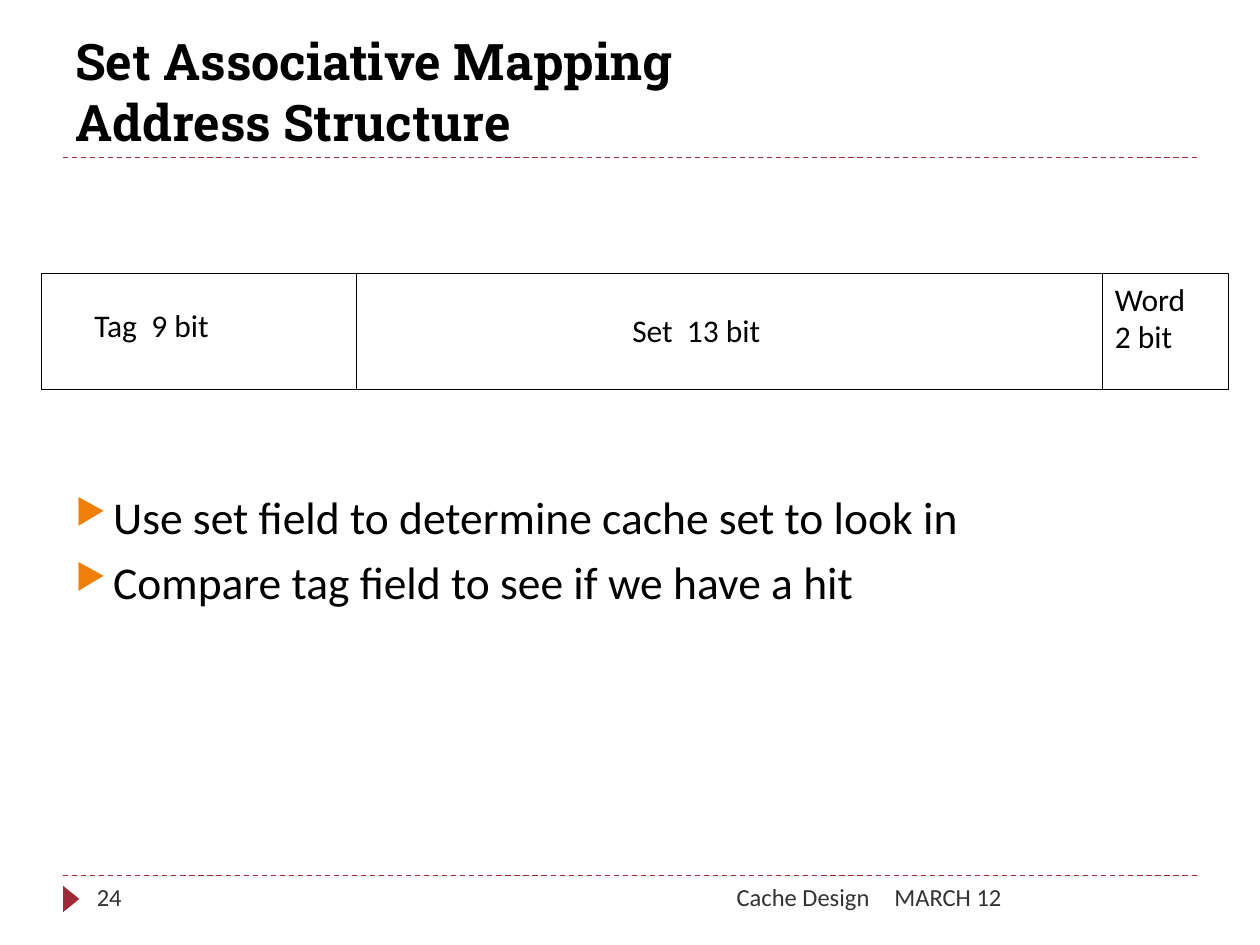
from dataclasses import dataclass

from lxml import etree
from pptx import Presentation
from pptx.dml.color import RGBColor
from pptx.enum.dml import MSO_LINE
from pptx.enum.shapes import MSO_CONNECTOR, MSO_SHAPE
from pptx.enum.text import MSO_ANCHOR, PP_ALIGN
from pptx.oxml.ns import qn
from pptx.util import Inches, Pt

STRAIGHT = MSO_CONNECTOR.STRAIGHT
RECTANGLE = MSO_SHAPE.RECTANGLE
TRIANGLE = MSO_SHAPE.ISOSCELES_TRIANGLE
DASH = MSO_LINE.DASH
TOP, BOTTOM = MSO_ANCHOR.TOP, MSO_ANCHOR.BOTTOM
LEFT, RIGHT = PP_ALIGN.LEFT, PP_ALIGN.RIGHT


@dataclass(frozen=True)
class Theme:
    ink: str = "000000"
    muted: str = "323232"
    accent: str = "9F2936"
    bullet: str = "F07F09"
    heading_font: str = "Roboto Slab"
    body_font: str = "Calibri"
    title_size: float = 28.8
    body_size: float = 26
    label_size: float = 18
    footer_size: float = 14
    line_width: float = 0.75


THEME = Theme()
WIDTH, HEIGHT = 10, 7.5
MARGIN = 0.5


def add_line(slide, start, end, color, dash=None):
    line = slide.shapes.add_connector(STRAIGHT, *map(Inches, (*start, *end)))
    line.line.color.rgb = RGBColor.from_string(color)
    line.line.width = Pt(THEME.line_width)
    if dash is not None:
        line.line.dash_style = dash
    etree.SubElement(line._element.spPr, qn("a:effectLst"))


def add_text(slide, box, lines, size, color=THEME.ink, font=THEME.body_font,
             bold=False, align=LEFT, anchor=TOP, wrap=True):
    frame = slide.shapes.add_textbox(*map(Inches, box)).text_frame
    frame.word_wrap = wrap
    frame.vertical_anchor = anchor
    font_format = {"name": font, "size": Pt(size), "bold": bold}
    for index, line in enumerate(lines):
        paragraph = frame.add_paragraph() if index else frame.paragraphs[0]
        paragraph.text = line
        paragraph.alignment = align
        for run in paragraph.runs:
            for name, value in font_format.items():
                setattr(run.font, name, value)
            run.font.color.rgb = RGBColor.from_string(color)
    return frame


def add_bullet(paragraph, indent):
    properties = paragraph._p.get_or_add_pPr()
    properties.set("marL", str(Inches(indent)))
    properties.set("indent", str(-Inches(indent)))
    color = etree.SubElement(properties, qn("a:buClr"))
    etree.SubElement(color, qn("a:srgbClr"), val=THEME.bullet)
    etree.SubElement(properties, qn("a:buSzPct"), val="76000")
    etree.SubElement(properties, qn("a:buChar"), char="▶")


def add_heading(slide, box, title):
    left, top, width, height = box
    bottom = top + height
    add_line(slide, (left, bottom), (left + width, bottom), THEME.accent, DASH)
    add_text(slide, box, [title], THEME.title_size, font=THEME.heading_font,
             bold=True, anchor=BOTTOM)


def add_address_fields(slide, box, dividers, labels):
    left, top, width, height = box
    frame = slide.shapes.add_shape(RECTANGLE, *map(Inches, box))
    frame.shadow.inherit = False
    frame.fill.background()
    frame.line.color.rgb = RGBColor.from_string(THEME.ink)
    frame.line.width = Pt(THEME.line_width)
    for offset in dividers:
        x = left + offset
        add_line(slide, (x, top), (x, top + height), THEME.ink)
    for lines, (x, y, label_width, label_height) in labels:
        add_text(slide, (left + x, top + y, label_width, label_height), lines,
                 THEME.label_size, wrap=False)


def add_bullets(slide, box, lines):
    frame = add_text(slide, box, lines, THEME.body_size)
    for paragraph in frame.paragraphs:
        paragraph.space_before = Pt(6)
        add_bullet(paragraph, 0.3)


def add_footer(slide, box, number, topic, date):
    left, top, width, height = box
    right = left + width
    add_line(slide, (left, top), (right, top), THEME.accent, DASH)
    # Page marker
    marker = slide.shapes.add_shape(
        TRIANGLE, *map(Inches, (left - 0.04, top + 0.12, 0.21, 0.13)))
    marker.rotation = 90
    marker.shadow.inherit = False
    marker.fill.solid()
    marker.fill.fore_color.rgb = RGBColor.from_string(THEME.accent)
    marker.line.fill.background()
    # Number, topic and date
    date_left = right - 2.5
    parts = [
        (number, left + 0.17, 2.17, LEFT),
        (topic, date_left - 3.83, 3.83, RIGHT),
        (date, date_left, 2.5, LEFT),
    ]
    for text, x, part_width, align in parts:
        add_text(slide, (x, top, part_width, height), [text],
                 THEME.footer_size, THEME.muted, align=align)


def main():
    presentation = Presentation()
    presentation.slide_width = Inches(WIDTH)
    presentation.slide_height = Inches(HEIGHT)
    slide = presentation.slides.add_slide(presentation.slide_layouts[6])
    content_width = WIDTH - 2 * MARGIN

    add_heading(slide, (MARGIN, 0.17, content_width, 1.08),
                "Set Associative Mapping\vAddress Structure")
    add_address_fields(
        slide, (0.33, 2.17, 9.42, 0.92), dividers=(2.5, 8.42),
        labels=[
            (["Tag  9 bit"], (0.32, 0.21, 1.49, 0.5)),
            (["Set  13 bit"], (4.59, 0.25, 1.56, 0.5)),
            (["Word", "2 bit"], (8.42, 0, 0.96, 0.9)),
        ])
    add_bullets(slide, (MARGIN, 3.83, 8.94, 2.25), [
        "Use set field to determine cache set to look in",
        "Compare tag field to see if we have a hit",
    ])
    add_footer(slide, (MARGIN, 6.95, content_width, 0.4),
               "24", "Cache Design", "MARCH 12")
    presentation.save("out.pptx")


main()
